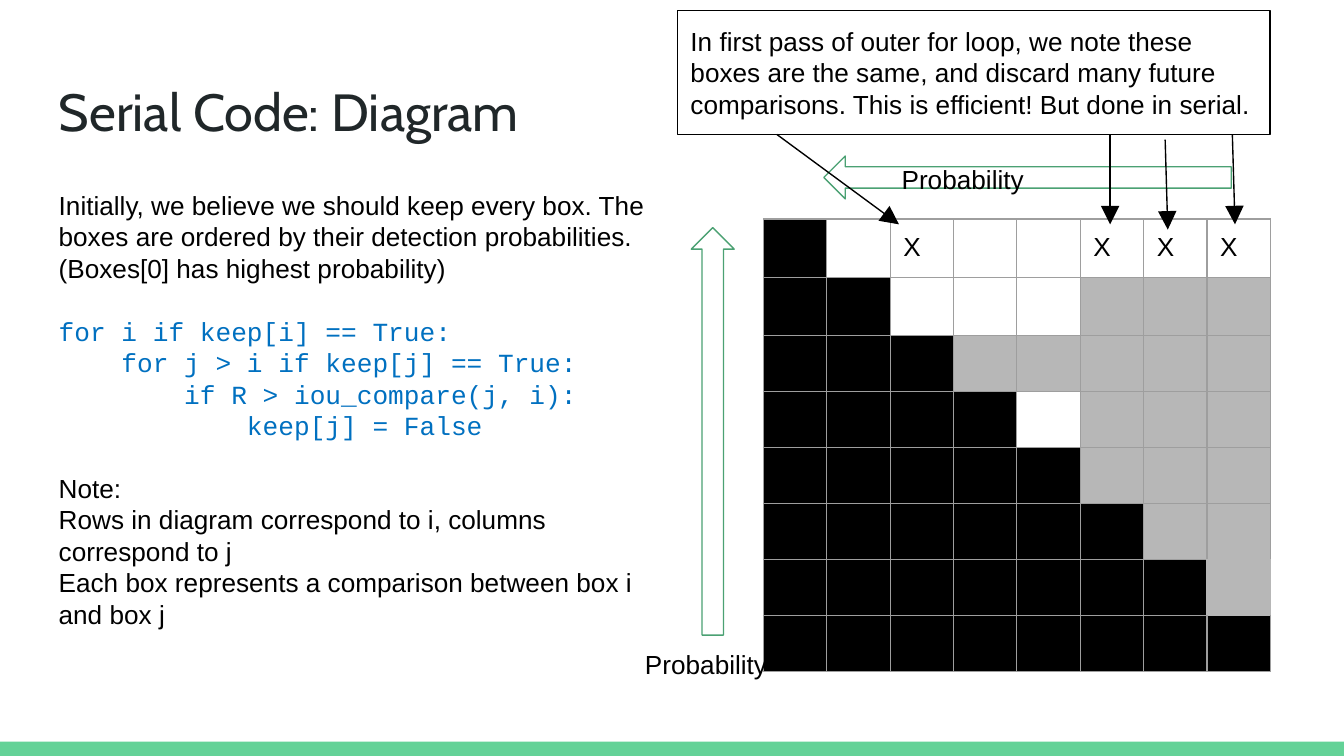
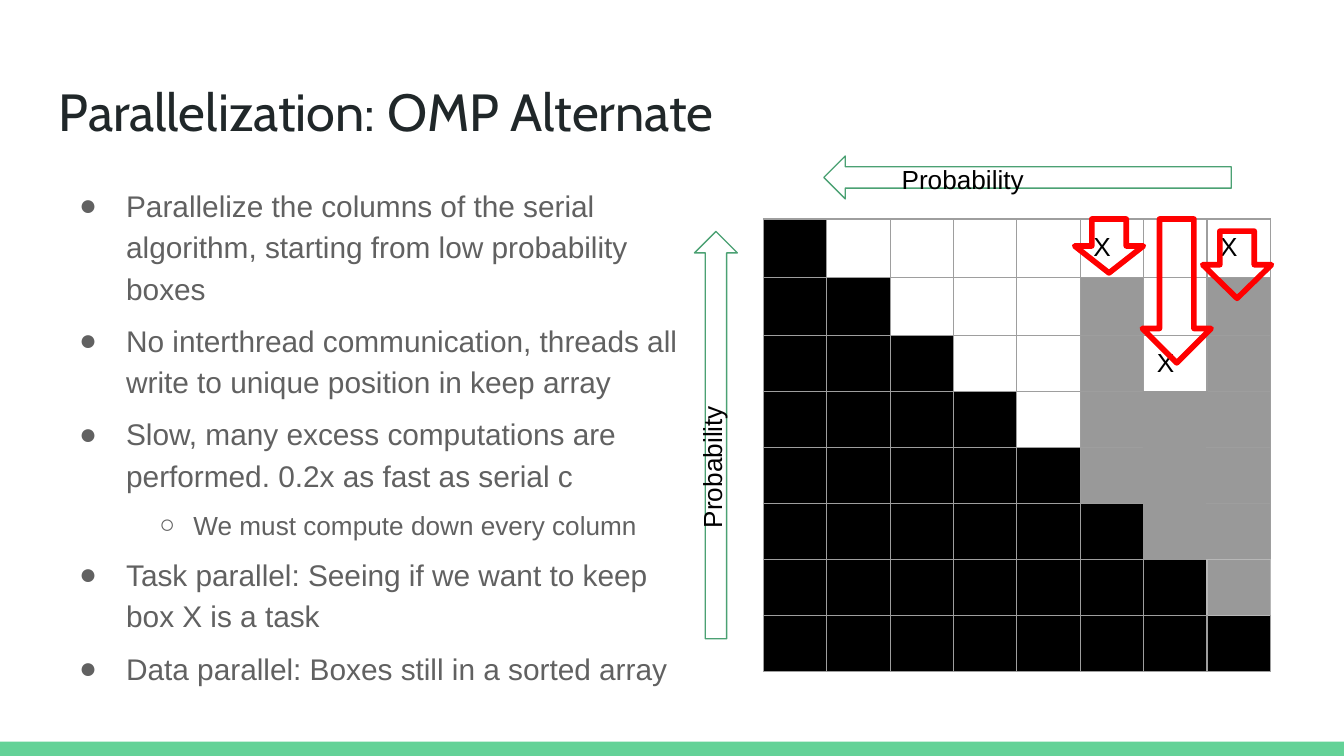
import lxml.etree
import pptx
import pptx.dml.color
import pptx.enum.shapes
import pptx.enum.text
import pptx.oxml.ns
import pptx.util

Cm = pptx.util.Cm
Pt = pptx.util.Pt
qn = pptx.oxml.ns.qn
SHAPES = pptx.enum.shapes.MSO_SHAPE

BLACK, WHITE, RED = "000000", "FFFFFF", "FF0000"
BAND_GREEN, ARROW_GREEN = "63D297", "4BA173"
TITLE_INK, BODY_INK, CODE_BLUE = "202729", "616161", "0070C0"
GRID_LINE, LIGHT_GRAY, MID_GRAY = "9E9E9E", "B7B7B7", "999999"
MARGIN = Cm(0.25)


def set_color(target, color):
    """Give a shape, cell, line or font a solid colour."""
    target.fill.solid()
    target.fill.fore_color.rgb = pptx.dml.color.RGBColor.from_string(color)


def set_font(paragraph, size, color=BLACK, name="Arial"):
    paragraph.font.size = Pt(size)
    paragraph.font.name = name
    set_color(paragraph.font, color)


presentation = pptx.Presentation()
presentation.slide_width = Cm(25.4)
presentation.slide_height = Cm(14.29)
title_content, title_only = presentation.slide_layouts[1], presentation.slide_layouts[5]
serial_slide = presentation.slides.add_slide(title_only)
parallel_slide = presentation.slides.add_slide(title_content)

# The green band belongs to the master, so every slide shows it
band = serial_slide.shapes.add_shape(SHAPES.RECTANGLE, 0, Cm(14.02), Cm(25.4), Cm(0.27))
band.shadow.inherit = False
set_color(band, BAND_GREEN)
band.line.fill.background()
band.element.nvSpPr.cNvPr.set("id", "20")
presentation.slide_master.shapes.element.append(band.element)

# Grid marks: # done, g skipped, w white, X match, . empty
# Framed cells lend their border colour to the neighbours they touch
probability_arrow = (SHAPES.LEFT_ARROW, (15.57, 2.95, 7.7, 0.81), 0, ARROW_GREEN, 0.75)
probability_label = ((16.79, 2.84, 5.77, 0.76), 0)
callout_box = (12.8, 0.2, 11.2, 2.34)
contents = [
    {
        "slide": serial_slide,
        "title": "Serial Code: Diagram",
        "grid": ["#.X..XXX", "##...ggg", "###ggggg", "####.ggg",
                 "#####ggg", "######gg", "#######g", "########"],
        "gray": LIGHT_GRAY,
        "frames": {(6, 7): LIGHT_GRAY},
        "outlines": [
            probability_arrow,
            (SHAPES.LEFT_ARROW, (9.62, 7.75, 7.7, 0.81), 90, ARROW_GREEN, 0.75),
            (SHAPES.RECTANGLE, callout_box, 0, BLACK, 0.75),
        ],
        "labels": [probability_label, ((11.94, 12.01, 3.05, 0.76), 0)],
    },
    {
        "slide": parallel_slide,
        "title": "Parallelization: OMP Alternate",
        "grid": ["#....XwX", "##.wwgwg", "###wwgXg", "####.ggg",
                 "#####ggg", "######gg", "#######g", "########"],
        "gray": MID_GRAY,
        "frames": {(3, 6): MID_GRAY, (4, 6): MID_GRAY, (5, 6): MID_GRAY,
                   (6, 7): LIGHT_GRAY},
        "outlines": [
            probability_arrow,
            (SHAPES.LEFT_ARROW, (9.68, 7.82, 7.7, 0.81), 90, ARROW_GREEN, 0.75),
            (SHAPES.DOWN_ARROW, (22.73, 4.37, 1.3, 1.27), 0, RED, 3),
            (SHAPES.DOWN_ARROW, (21.59, 4.14, 1.3, 2.72), 0, RED, 3),
            (SHAPES.DOWN_ARROW, (20.31, 4.14, 1.3, 1.02), 0, RED, 3),
        ],
        "labels": [probability_label, ((11.76, 8.33, 3.05, 0.76), 270)],
    },
]
border_sides = {"a:lnL": (0, -1), "a:lnR": (0, 1), "a:lnT": (-1, 0), "a:lnB": (1, 0)}

for content in contents:
    slide = content["slide"]
    title = slide.shapes.title
    title.left, title.top, title.width, title.height = map(Cm, (0.86, 1.24, 23.67, 1.6))
    title.text_frame.text = content["title"]
    title.text_frame.vertical_anchor = pptx.enum.text.MSO_ANCHOR.TOP
    title.text_frame.auto_size = pptx.enum.text.MSO_AUTO_SIZE.NONE
    title.text_frame.margin_top = title.text_frame.margin_bottom = MARGIN
    title.text_frame.paragraphs[0].alignment = pptx.enum.text.PP_ALIGN.LEFT
    set_font(title.text_frame.paragraphs[0], 28, TITLE_INK, "Cabin")

    table = slide.shapes.add_table(8, 8, Cm(14.43), Cm(4.14), Cm(9.58), Cm(8.56)).table
    table.first_row = table.horz_banding = False
    fills = {"#": BLACK, "g": content["gray"], "w": WHITE}
    for row, marks in enumerate(content["grid"]):
        table.rows[row].height = Cm(1.1 if row < 2 else 1.06)
        for column, mark in enumerate(marks):
            cell = table.cell(row, column)
            properties = cell._tc.get_or_add_tcPr()
            for side, (down, right) in border_sides.items():
                neighbour_color = content["frames"].get((row + down, column + right), GRID_LINE)
                color = content["frames"].get((row, column), neighbour_color)
                border = lxml.etree.SubElement(properties, qn(side), w=str(Pt(0.75)))
                solid = lxml.etree.SubElement(border, qn("a:solidFill"))
                lxml.etree.SubElement(solid, qn("a:srgbClr"), val=color)
            if mark in fills:
                set_color(cell, fills[mark])
            else:
                cell.fill.background()
            if mark == "X":
                cell.text = mark
                cell.margin_left = cell.margin_top = MARGIN
                set_font(cell.text_frame.paragraphs[0], 14)

    for preset, box, rotation, color, width in content["outlines"]:
        outline = slide.shapes.add_shape(preset, *map(Cm, box))
        outline.rotation = rotation
        outline.shadow.inherit = False
        outline.fill.background()
        set_color(outline.line, color)
        outline.line.width = Pt(width)
        if box == callout_box:
            callout = outline

    for box, rotation in content["labels"]:
        label = slide.shapes.add_textbox(*map(Cm, box))
        label.rotation = rotation
        label.text_frame.word_wrap = True
        label.text_frame.margin_top = label.text_frame.margin_bottom = MARGIN
        label.text_frame.text = "Probability"
        set_font(label.text_frame.paragraphs[0], 14)

# Serial slide: explanation, callout and its pointers
explanation = serial_slide.shapes.add_textbox(Cm(0.86), Cm(3.33), Cm(11.94), Cm(10.16))
explanation.text_frame.word_wrap = True
explanation.text_frame.margin_top = explanation.text_frame.margin_bottom = MARGIN
code_lines = [
    "for i if keep[i] == True:",
    "    for j > i if keep[j] == True:",
    "        if R > iou_compare(j, i):",
    "            keep[j] = False",
]
explanation_lines = [
    "Initially, we believe we should keep every box. The boxes are ordered by their "
    "detection probabilities. (Boxes[0] has highest probability)",
    *code_lines,
    "Note:",
    "Rows in diagram correspond to i, columns correspond to j",
    "Each box represents a comparison between box i and box j",
]
explanation.text_frame.text = "\n".join(explanation_lines)
for paragraph in explanation.text_frame.paragraphs:
    if paragraph.text in (code_lines[0], "Note:"):
        paragraph.space_before = Pt(17)
    if paragraph.text in code_lines:
        set_font(paragraph, 14, CODE_BLUE, "Courier New")
    else:
        set_font(paragraph, 14)

callout.text_frame.word_wrap = True
callout.text_frame.text = (
    "In first pass of outer for loop, we note these boxes are the same, and discard many "
    "future comparisons. This is efficient! But done in serial."
)
callout.text_frame.paragraphs[0].alignment = pptx.enum.text.PP_ALIGN.LEFT
set_font(callout.text_frame.paragraphs[0], 14)

pointers = [(14.68, 2.54, 16.99, 4.24), (20.98, 2.54, 20.98, 4.24),
            (22.02, 2.64, 22.07, 4.34), (23.29, 2.54, 23.34, 4.24)]
for ends in pointers:
    pointer = serial_slide.shapes.add_connector(
        pptx.enum.shapes.MSO_CONNECTOR.STRAIGHT, *map(Cm, ends))
    set_color(pointer.line, BLACK)
    pointer.line.width = Pt(0.75)
    lxml.etree.SubElement(pointer.line._get_or_add_ln(), qn("a:tailEnd"),
                          type="triangle", w="lg", len="lg")
    lxml.etree.SubElement(pointer.element.spPr, qn("a:effectLst"))

# Parallel slide: bullet list
bullets = [
    (0, "Parallelize the columns of the serial algorithm, starting from low probability boxes"),
    (0, "No interthread communication, threads all write to unique position in keep array"),
    (0, "Slow, many excess computations are performed. 0.2x as fast as serial c"),
    (1, "We must compute down every column"),
    (0, "Task parallel: Seeing if we want to keep box X is a task"),
    (0, "Data parallel: Boxes still in a sorted array"),
]
level_styles = [("●", 1.27, -0.89, 16), ("○", 2.54, -0.64, 14)]
body = parallel_slide.placeholders[1]
body.left, body.top, body.width, body.height = map(Cm, (0.86, 3.2, 12.25, 10.59))
body.text_frame.auto_size = pptx.enum.text.MSO_AUTO_SIZE.NONE
body.text_frame.margin_top = body.text_frame.margin_bottom = MARGIN
body.text_frame.text = "\n".join(text for level, text in bullets)
for paragraph, (level, text) in zip(body.text_frame.paragraphs, bullets):
    symbol, left, indent, size = level_styles[level]
    paragraph.level = level
    properties = paragraph._p.get_or_add_pPr()
    properties.set("marL", str(Cm(left)))
    properties.set("indent", str(Cm(indent)))
    bullet_color = lxml.etree.SubElement(properties, qn("a:buClr"))
    lxml.etree.SubElement(bullet_color, qn("a:srgbClr"), val=BODY_INK)
    lxml.etree.SubElement(properties, qn("a:buFont"), typeface="Arial")
    lxml.etree.SubElement(properties, qn("a:buChar"), char=symbol)
    paragraph.line_spacing = 1.15
    paragraph.space_before = Pt(0)
    paragraph.space_after = Pt(6)
    set_font(paragraph, size, BODY_INK)

presentation.save("out.pptx")
